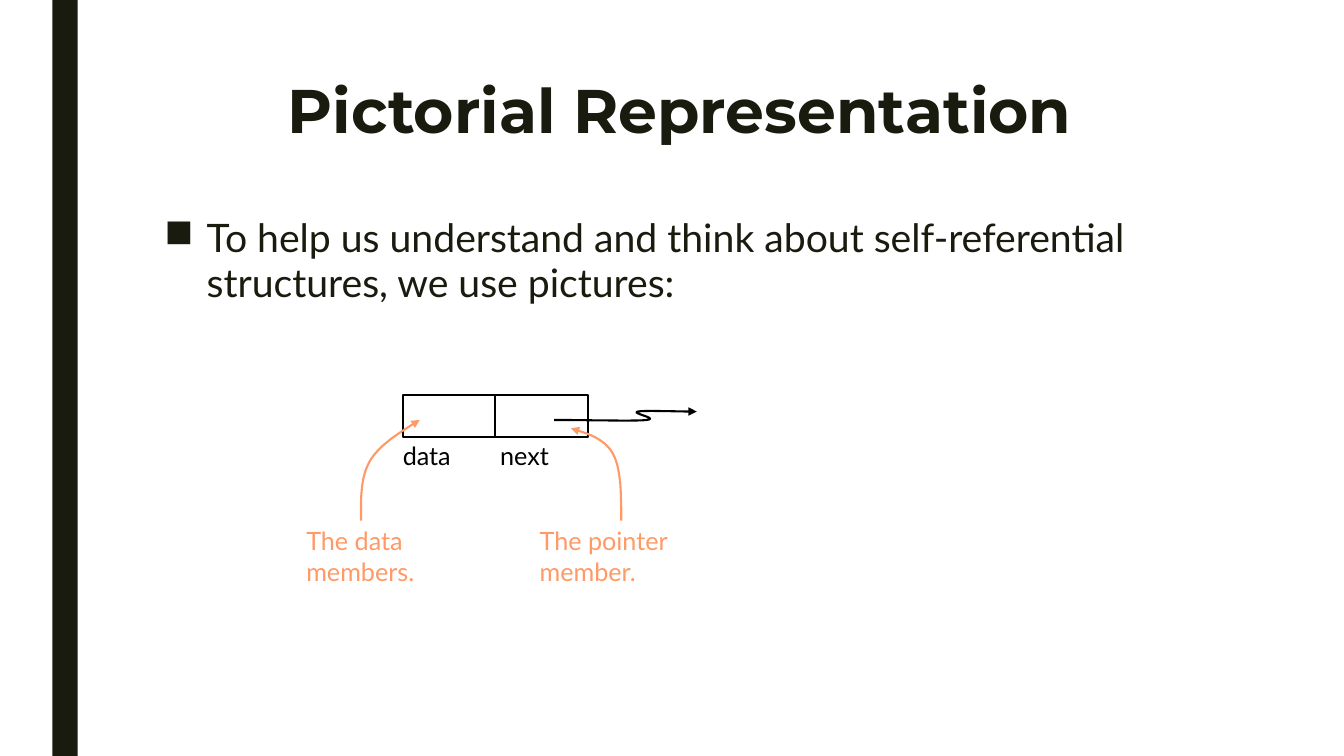
import pptx
import pptx.util
import pptx.dml.color
import pptx.enum.shapes
import pptx.enum.text
import pptx.oxml
import pptx.oxml.ns

DARK, BLACK, ORANGE = "191B0E", "000000", "FF9966"
CELL = 1 / 12
STEPS = 12

BAR = (6.25, 0, 3, 90)
NODE = (48, 47, 22, 5)
TITLE = ("Pictorial Representation", (18, 9, 126, 19.5))
BODY = ("To help us understand and think about self-referential structures, we use pictures:",
        (18.4, 25.3, 126, 47))
LABELS = [
    ("data", BLACK, (46.8, 51.8, 8.6, 4.8)),
    ("next", BLACK, (58.4, 51.8, 8.6, 4.8)),
    ("The data\nmembers.", ORANGE, (35.3, 62, 16.7, 8.4)),
    ("The pointer\nmember.", ORANGE, (63.1, 62, 18.7, 8.4)),
]
ARROWS = [
    (BLACK, "tailEnd", [(66, 50), (70.67, 50), (75.33, 50.17), (77, 50), (78.67, 49.83),
                        (75, 49.17), (76, 49), (77, 48.83), (80, 49), (83, 49)]),
    (ORANGE, "headEnd", [(50, 50), (47.6, 51.5), (45.1, 53), (44, 55),
                         (42.9, 57), (43, 59.5), (43, 62)]),
    (ORANGE, "headEnd", [(68, 51), (70, 51.6), (72, 52.2), (73, 54),
                         (74, 55.8), (74, 58.9), (74, 62)]),
]


def rgb(color):
    return pptx.dml.color.RGBColor.from_string(color)


def grid(*cells):
    return [pptx.util.Inches(c * CELL) for c in cells]


def add_xml(parent, tag, **attrs):
    el = pptx.oxml.ns.qn(tag)
    child = parent.makeelement(el, attrs)
    parent.append(child)
    return child


def outline(sp, color):
    sp.line.color.rgb = rgb(color)
    sp.line.width = pptx.util.Pt(1.5)


def add_text(s, text, box, size, font, color, wrap=True, bold=False):
    tf = s.shapes.add_textbox(*grid(*box)).text_frame
    tf.word_wrap = wrap
    tf.text = text
    for p in tf.paragraphs:
        for r in p.runs:
            r.font.size = pptx.util.Pt(size)
            r.font.name = font
            r.font.bold = bold
            r.font.color.rgb = rgb(color)
    return tf


def add_rect(s, box):
    sp = s.shapes.add_shape(pptx.enum.shapes.MSO_SHAPE.RECTANGLE, *grid(*box))
    sp.shadow.inherit = False
    return sp


def bezier(a, b, c, d, t):
    u = 1 - t
    return tuple(u**3 * i + 3 * u * u * t * j + 3 * u * t * t * k + t**3 * m
                 for i, j, k, m in zip(a, b, c, d))


def add_arrow(s, color, end, knots):
    points = [bezier(*knots[i:i + 4], n / STEPS)
              for i in range(0, len(knots) - 1, 3) for n in range(1, STEPS + 1)]
    scale = pptx.util.Inches(CELL) / 100
    fb = s.shapes.build_freeform(knots[0][0] * 100, knots[0][1] * 100, scale)
    fb.add_line_segments([(x * 100, y * 100) for x, y in points], close=False)
    sp = fb.convert_to_shape()
    sp.shadow.inherit = False
    sp.fill.background()
    outline(sp, color)
    add_xml(sp.line._get_or_add_ln(), "a:" + end, type="triangle")


def main():
    prs = pptx.Presentation()
    prs.slide_width = pptx.util.Inches(13.34)
    prs.slide_height = pptx.util.Inches(7.5)
    s = prs.slides.add_slide(prs.slide_layouts[6])

    bar = add_rect(s, BAR)
    bar.fill.solid()
    bar.fill.fore_color.rgb = rgb(DARK)
    bar.line.fill.background()

    p = add_text(s, *TITLE, 44, "Montserrat", DARK, bold=True).paragraphs[0]
    p.alignment = pptx.enum.text.PP_ALIGN.CENTER
    p.line_spacing = 0.89

    p = add_text(s, *BODY, 28, "Lato", DARK).paragraphs[0]
    p.line_spacing = 0.94
    p.space_before = pptx.util.Pt(10)
    p.space_after = pptx.util.Pt(2)
    pPr = p._p.get_or_add_pPr()
    indent = pptx.util.Inches(0.42)
    pPr.set("marL", str(indent))
    pPr.set("indent", str(-indent))
    add_xml(add_xml(pPr, "a:buClr"), "a:srgbClr", val=DARK)
    add_xml(pPr, "a:buChar", char="■")

    node = add_rect(s, NODE)
    node.fill.background()
    outline(node, BLACK)
    left, top, width, height = NODE
    middle = left + width / 2
    divider = s.shapes.add_connector(pptx.enum.shapes.MSO_CONNECTOR.STRAIGHT,
                                     *grid(middle, top, middle, top + height))
    outline(divider, BLACK)
    add_xml(divider._element.spPr, "a:effectLst")

    for text, color, box in LABELS:
        add_text(s, text, box, 18, "Lato", color, wrap=False)
    for arrow in ARROWS:
        add_arrow(s, *arrow)

    prs.save("out.pptx")


if __name__ == "__main__":
    main()
